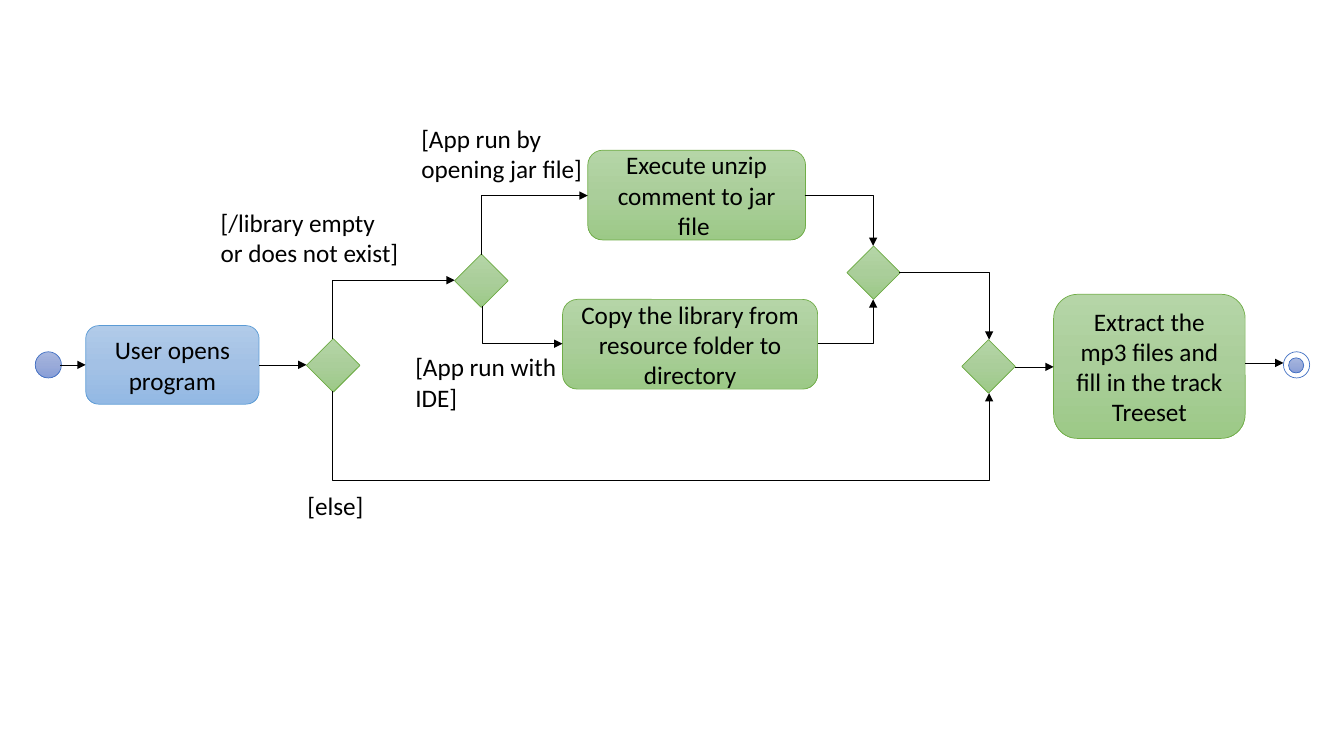
from copy import deepcopy
from dataclasses import dataclass

from lxml.etree import SubElement as Sub
from pptx import Presentation
from pptx.dml.color import RGBColor as Rgb
from pptx.enum.shapes import MSO_CONNECTOR as Link, MSO_SHAPE as Shape
from pptx.enum.text import MSO_ANCHOR as Anchor, MSO_AUTO_SIZE as Fit, PP_ALIGN as Align
from pptx.oxml.ns import qn
from pptx.util import Inches, Pt


@dataclass(frozen=True)
class Theme:
    """Colours and type of the diagram."""
    green: tuple = ("B5D5A7", "AACE9A", "9CC987", "70AD47")
    blue: tuple = ("B1CBE9", "A3C1E5", "93B9E4", "5B9BD5")
    navy: tuple = ("A8B7DF", "9AABD9", "889ED7", "4472C4")
    white: tuple = ("FFFFFF", "4472C4")
    ink: str = "000000"
    font: str = "Calibri"
    size: float = 18
    rule: float = 0.5


THEME = Theme()
NODE = 0.53
DOT = 0.26


def apply(item, **values):
    """Set attributes of an item from format values."""
    for name, value in values.items():
        setattr(item, name, value)


def paint(shape, tones):
    """Fill a shape with its tones; the last tone is the outline."""
    *fills, edge = tones
    shape.shadow.inherit = False
    fill = shape.fill
    if len(fills) == 1:
        fill.solid()
        fill.fore_color.rgb = Rgb.from_string(fills[0])
    else:
        fill.gradient()
        fill.gradient_angle = 270
        first = fill.gradient_stops[0]._gs
        first.addnext(deepcopy(first))
        for stop, tone, place in zip(fill.gradient_stops, fills, (0, 0.5, 1)):
            stop.color.rgb = Rgb.from_string(tone)
            stop.position = place
    shape.line.color.rgb = Rgb.from_string(edge)
    shape.line.width = Pt(THEME.rule)


def write(frame, text, align, **format):
    """Put one styled paragraph in a text frame."""
    apply(frame, word_wrap=True, **format)
    para = frame.paragraphs[0]
    para.alignment = align
    run = para.add_run()
    run.text = text
    apply(run.font, name=THEME.font, size=Pt(THEME.size))
    run.font.color.rgb = Rgb.from_string(THEME.ink)


def node(parent, kind, box, tones):
    """Add one painted shape."""
    shape = parent.shapes.add_shape(kind, *map(Inches, box))
    paint(shape, tones)
    return shape


def action(slide, text, box, tones=THEME.green):
    """Add a rounded action with centred text."""
    shape = node(slide, Shape.ROUNDED_RECTANGLE, box, tones)
    write(shape.text_frame, text, Align.CENTER, vertical_anchor=Anchor.MIDDLE)


def label(slide, text, box):
    """Add a guard label."""
    shape = slide.shapes.add_textbox(*map(Inches, box))
    write(shape.text_frame, text, Align.LEFT, auto_size=Fit.SHAPE_TO_FIT_TEXT)


def finish(line):
    """Give a connector its ink and arrowhead."""
    line.line.color.rgb = Rgb.from_string(THEME.ink)
    line.line.width = Pt(THEME.rule)
    props = line._element.spPr
    Sub(props.find(qn("a:ln")), qn("a:tailEnd"), type="triangle")
    Sub(props, qn("a:effectLst"))


def arrow(slide, start, end):
    """Add a straight arrow."""
    finish(slide.shapes.add_connector(Link.STRAIGHT, *map(Inches, start + end)))


def bend(slide, start, end, turn=0, flip="", adjust=None):
    """Add an elbow arrow, turned about the middle of its ends."""
    (x1, y1), (x2, y2) = start, end
    wide, high = abs(x2 - x1), abs(y2 - y1)
    if turn:
        wide, high = high, wide
    left, top = (x1 + x2 - wide) / 2, (y1 + y2 - high) / 2
    ends = (left, top, left + wide, top + high)
    line = slide.shapes.add_connector(Link.ELBOW, *map(Inches, ends))
    props = line._element.spPr
    frame, shape = props.find(qn("a:xfrm")), props.find(qn("a:prstGeom"))
    if turn:
        frame.set("rot", str(turn * 60000))
    for axis in flip:
        frame.set("flip" + axis.upper(), "1")
    if adjust is None:
        shape.set("prst", "bentConnector2")
    else:
        Sub(shape.find(qn("a:avLst")), qn("a:gd"), name="adj1",
            fmla=f"val {round(adjust * 100000)}")
    finish(line)


def final(slide):
    """Add the ringed end dot."""
    group = slide.shapes.add_group_shape()
    node(group, Shape.OVAL, (12.73, 3.49, DOT, DOT), THEME.white)
    node(group, Shape.OVAL, (12.78, 3.55, 0.15, 0.15), THEME.navy)


def main():
    """Build the activity diagram."""
    deck = Presentation()
    apply(deck, slide_width=Inches(13.33), slide_height=Inches(7.5))
    slide = deck.slides.add_slide(deck.slide_layouts[6])

    node(slide, Shape.OVAL, (0.35, 3.49, DOT, DOT), THEME.navy)
    for left, top in ((3.04, 3.36), (4.51, 2.52), (8.4, 2.44), (9.54, 3.37)):
        node(slide, Shape.DIAMOND, (left, top, NODE, NODE), THEME.green)
    final(slide)

    action(slide, "User opens program", (0.85, 3.23, 1.72, 0.78), THEME.blue)
    for text, box in (
        ("Execute unzip comment to jar file ", (5.83, 1.49, 2.16, 0.89)),
        ("Copy the library from resource folder to directory", (5.58, 2.97, 2.53, 0.89)),
        ("Extract the mp3 files and fill in the track Treeset", (10.45, 2.92, 1.9, 1.43)),
    ):
        action(slide, text, box)

    for text, box in (
        ("[else]", (2.95, 4.82, 0.93, 0.4)),
        ("[/library empty or does not exist]", (2.09, 2.01, 1.99, 0.71)),
        ("[App run by opening jar file]", (4.08, 1.17, 1.99, 0.71)),
        ("[App run with IDE]", (4.02, 3.44, 1.72, 0.71)),
    ):
        label(slide, text, box)

    for left, right, top in ((0.6, 0.85, 3.62), (2.57, 3.04, 3.62),
                             (10.07, 10.45, 3.64), (12.35, 12.73, 3.6)):
        arrow(slide, (left, top), (right, top))

    bend(slide, (3.3, 3.36), (4.51, 2.78), 90, "hv")
    bend(slide, (4.78, 2.52), (5.83, 1.94), flip="v", adjust=-0.01)
    bend(slide, (4.78, 3.04), (5.58, 3.41), 270, "h")
    bend(slide, (7.98, 1.94), (8.66, 2.44))
    bend(slide, (8.11, 3.41), (8.66, 2.97), flip="v")
    bend(slide, (8.92, 2.7), (9.81, 3.37))
    bend(slide, (3.3, 3.88), (9.81, 3.9), 270, "h", 44)
    deck.save("out.pptx")


if __name__ == "__main__":
    main()
